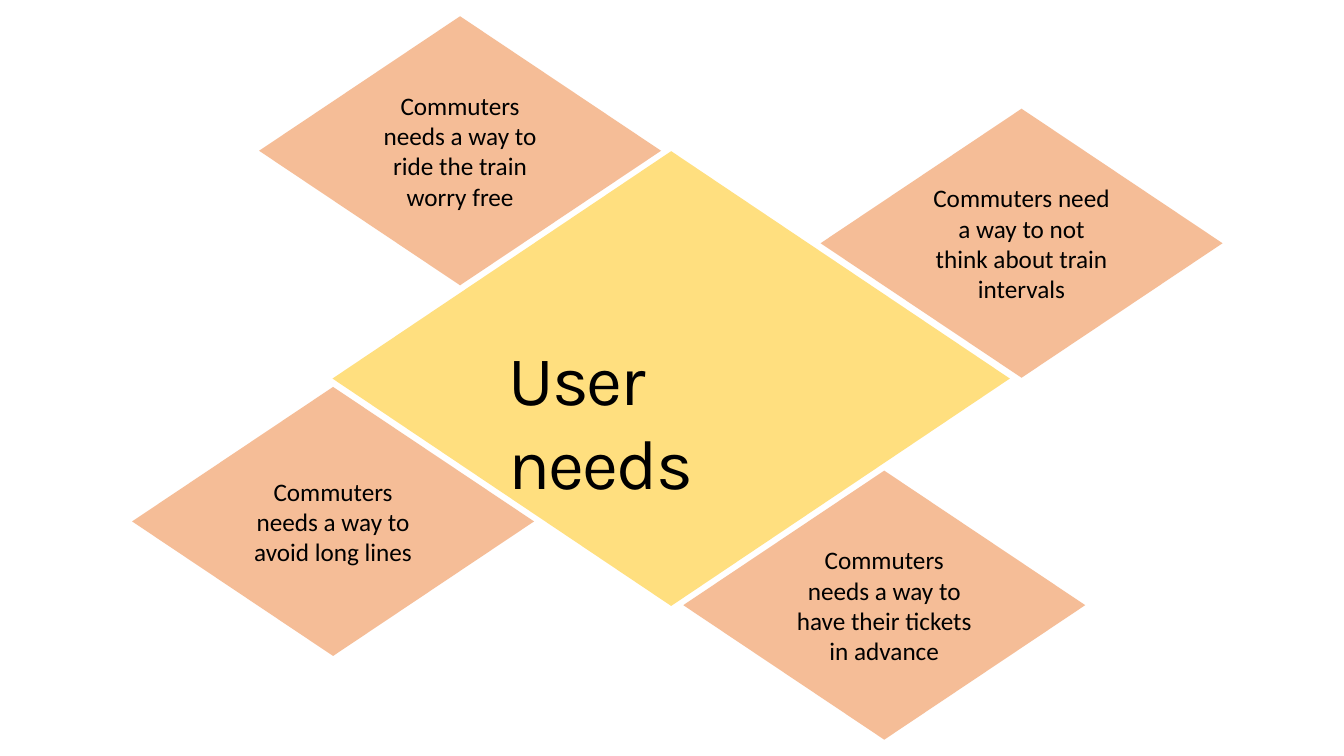
from dataclasses import dataclass

from lxml import etree
from pptx import Presentation
from pptx.dml.color import RGBColor
from pptx.enum.shapes import MSO_SHAPE
from pptx.enum.text import MSO_ANCHOR, MSO_AUTO_SIZE, PP_ALIGN
from pptx.oxml.ns import qn
from pptx.util import Cm, Pt


@dataclass(frozen=True)
class Theme:
    center: RGBColor = RGBColor(0xFF, 0xC0, 0x00)
    need: RGBColor = RGBColor(0xED, 0x7D, 0x31)
    text: RGBColor = RGBColor(0, 0, 0)
    opacity: int = 50
    title_font: str = "Karla"
    title_size: Pt = Pt(50)
    title_spacing: Pt = Pt(-1.5)
    need_font: str = "Calibri"
    need_size: Pt = Pt(18)


theme = Theme()


def add_diamond(x, y, w, h, color):
    sp = slide.shapes.add_shape(
        MSO_SHAPE.FLOWCHART_DECISION, Cm(x), Cm(y), Cm(w), Cm(h))
    sp.shadow.inherit = False
    sp.line.fill.background()
    sp.fill.solid()
    sp.fill.fore_color.rgb = color
    clr = sp.fill._xPr.find(".//" + qn("a:srgbClr"))
    etree.SubElement(clr, qn("a:alpha"), val=str(theme.opacity * 1000))
    return sp


def set_text(tf, text, font, size):
    tf.word_wrap = True
    p = tf.paragraphs[0]
    p.text = text
    p.font.name, p.font.size = font, size
    p.font.color.rgb = theme.text
    return p


prs = Presentation()
prs.slide_width, prs.slide_height = Cm(33.87), Cm(19.05)
slide = prs.slides.add_slide(prs.slide_layouts[6])

# Central diamond
add_diamond(8.38, 3.81, 17.07, 11.46, theme.center)

# Title
tb = slide.shapes.add_textbox(Cm(12.57), Cm(8.33), Cm(8.74), Cm(2.39))
tb.text_frame.auto_size = MSO_AUTO_SIZE.SHAPE_TO_FIT_TEXT
p = set_text(tb.text_frame, "User needs", theme.title_font, theme.title_size)
r = p.runs[0]
r.font._element.set("spc", str(round(theme.title_spacing.pt * 100)))

# Needs around the centre
needs = [
    (6.53, 0.41, "Commuters needs a way to ride the train worry free"),
    (3.33, 9.75, "Commuters needs a way to avoid long lines"),
    (17.22, 11.86, "Commuters needs a way to have their tickets in advance"),
    (20.68, 2.74, "Commuters need a way to not think about train intervals"),
]
for x, y, text in needs:
    sp = add_diamond(x, y, 10.13, 6.78, theme.need)
    sp.text_frame.vertical_anchor = MSO_ANCHOR.MIDDLE
    p = set_text(sp.text_frame, text, theme.need_font, theme.need_size)
    p.alignment = PP_ALIGN.CENTER

prs.save("out.pptx")
